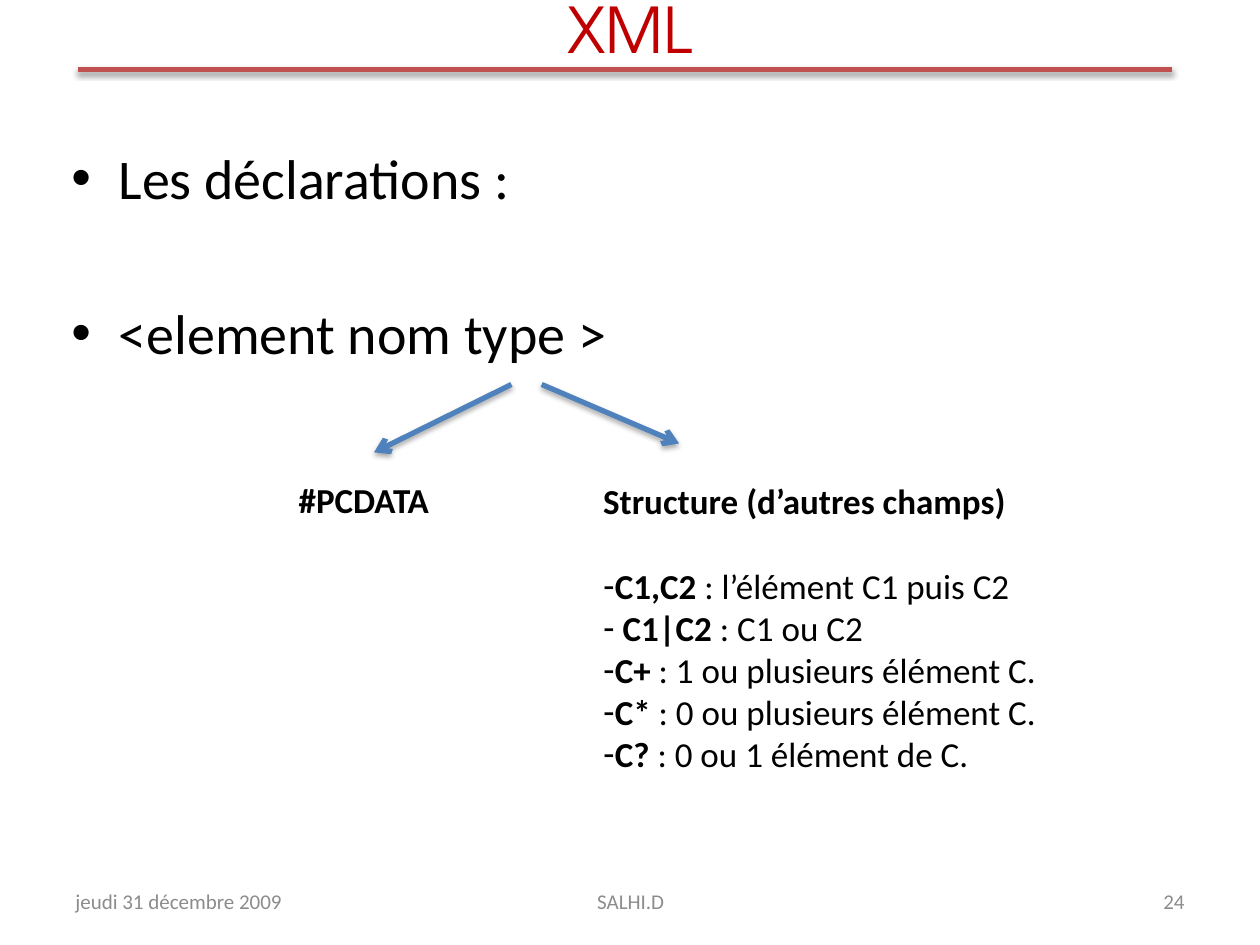
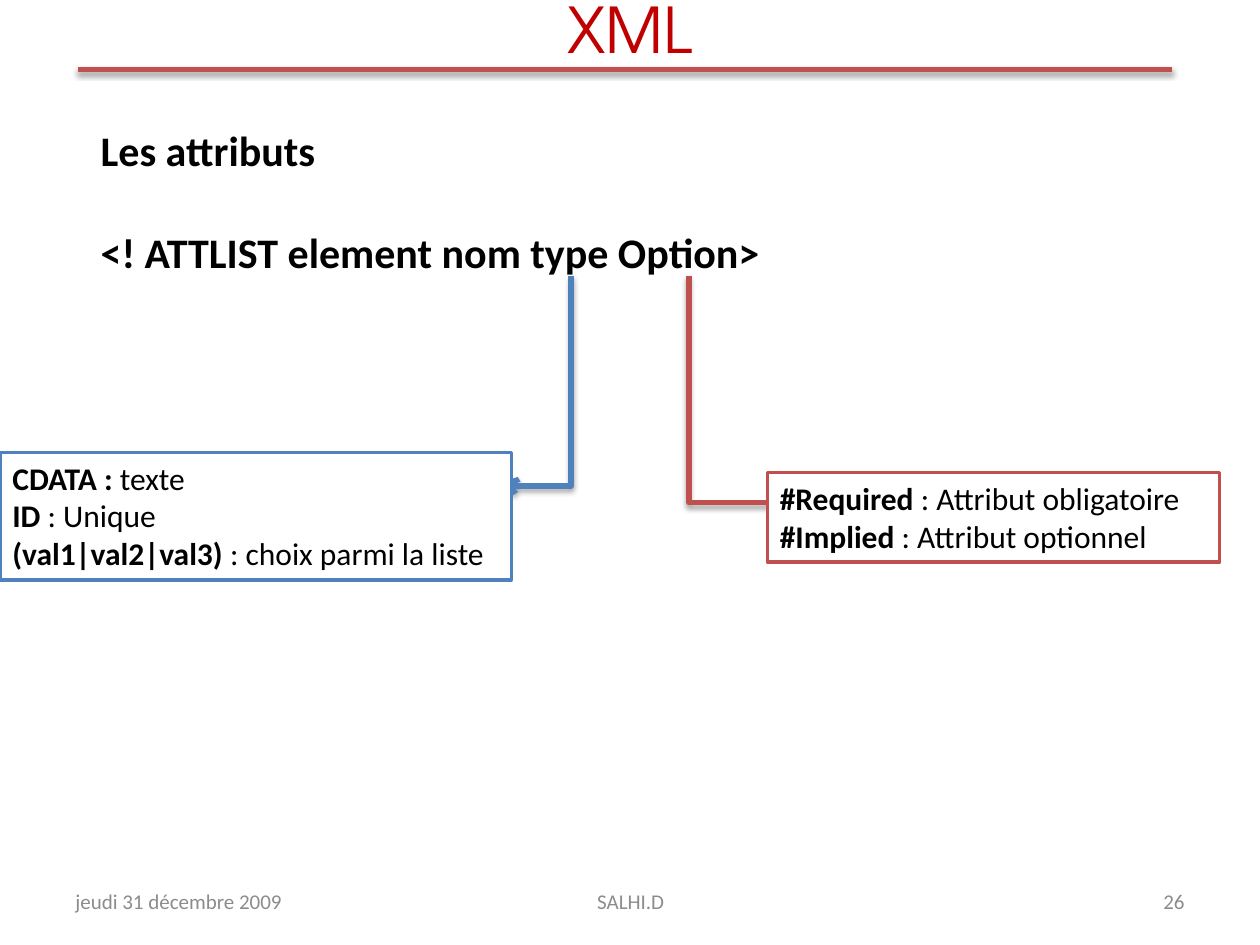
from lxml import etree
from pptx import Presentation, util as u
from pptx.dml.color import RGBColor
from pptx.enum import shapes, text
from pptx.oxml import ns

RED, BLUE, GREY, BLACK, WHITE = "C0504D", "4F81BD", "8C8C8C", "000000", "FFFFFF"
LEFT, MID, RIGHT = text.PP_ALIGN.LEFT, text.PP_ALIGN.CENTER, text.PP_ALIGN.RIGHT
STRAIGHT, ELBOW = shapes.MSO_CONNECTOR.STRAIGHT, shapes.MSO_CONNECTOR.ELBOW


def hue(code):
    return RGBColor.from_string(code)


def put(page, box, lines, size=20, font="Calibri", ink=BLACK, align=LEFT,
        mid=False, edge=None, marks="", hang=0, gaps=None):
    """Write lines of (bold, plain) text; marks holds one bullet per line."""
    area = [u.Cm(n) for n in box]
    if edge:
        shape = page.shapes.add_shape(shapes.MSO_SHAPE.RECTANGLE, *area)
        shape.shadow.inherit = False
        shape.fill.solid()
        shape.fill.fore_color.rgb = hue(WHITE)
        shape.line.color.rgb = hue(edge)
        shape.line.width = u.Pt(2)
    else:
        shape = page.shapes.add_textbox(*area)
    frame = shape.text_frame
    frame.word_wrap = True
    anchor = text.MSO_ANCHOR
    frame.vertical_anchor = anchor.MIDDLE if mid else anchor.TOP
    for i, line in enumerate(lines):
        para = frame.paragraphs[0] if i == 0 else frame.add_paragraph()
        para.alignment = align
        para.space_before = u.Pt((gaps or {}).get(i, 0))
        for words, bold in zip(line, (True, False)):
            if words:
                run = para.add_run()
                run.text = words
                run.font.size, run.font.name = u.Pt(size), font
                run.font.bold = bold
                run.font.color.rgb = hue(ink)
        mark = marks[i:i + 1].strip()
        if mark:
            props = para._p.get_or_add_pPr()
            props.set("marL", str(u.Cm(hang)))
            props.set("indent", str(-u.Cm(hang)))
            etree.SubElement(props, ns.qn("a:buFont")).set("typeface", "Arial")
            etree.SubElement(props, ns.qn("a:buChar")).set("char", mark)


deck = Presentation()
deck.slide_width, deck.slide_height = u.Cm(25.4), u.Cm(19.05)
decl, attr = [deck.slides.add_slide(deck.slide_layouts[6]) for _ in range(2)]

# Shared title and footers
for page, num in ((decl, "24"), (attr, "26")):
    put(page, (1.27, -0.64, 22.86, 2.41), [("", "XML")], size=36,
        font="TeX Gyre Adventor", ink="C00000", align=MID, mid=True)
    for left, wide, note, align in ((1.27, 5.92, "jeudi 31 décembre 2009", LEFT),
                                    (8.69, 8.05, "SALHI.D", MID),
                                    (18.21, 5.92, num, RIGHT)):
        put(page, (left, 17.65, wide, 1.02), [("", note)], size=12,
            ink=GREY, align=align, mid=True)

# Title rules, arrows and bent links: page, start, end, colour, arrow, bend
rule = ((1.57, 1.4), (23.62, 1.4), RED, False, None)
links = [
    (decl, *rule),
    (attr, *rule),
    (decl, (10.31, 7.75), (7.54, 9.12), BLUE, True, None),
    (decl, (10.92, 7.75), (13.69, 8.94), BLUE, True, None),
    (attr, (11.51, 5.56), (10.11, 9.73), BLUE, True, 101700),
    (attr, (13.89, 5.56), (15.47, 10.11), RED, False, 100600),
]
for page, (x1, y1), (x2, y2), ink, arrow, bend in links:
    turn = None
    if bend:
        # A link that leaves downwards is a sideways one turned a quarter
        half, rise = (y2 - y1) / 2, abs(x2 - x1) / 2
        cx, cy = (x1 + x2) / 2, (y1 + y2) / 2
        turn = 270 if x2 > x1 else 90
        side = half if x2 > x1 else -half
        x1, y1, x2, y2 = cx + side, cy - rise, cx - side, cy + rise
    link = page.shapes.add_connector(ELBOW if bend else STRAIGHT,
                                     *[u.Cm(n) for n in (x1, y1, x2, y2)])
    link.line.color.rgb = hue(ink)
    link.line.width = u.Pt(3)
    props = link._element.spPr
    if bend:
        props.find(ns.qn("a:xfrm")).set("rot", str(turn * 60000))
        geom = props.find(ns.qn("a:prstGeom"))
        guides = geom.find(ns.qn("a:avLst"))
        if guides is None:
            guides = etree.SubElement(geom, ns.qn("a:avLst"))
        etree.SubElement(guides, ns.qn("a:gd"), name="adj1", fmla=f"val {bend}")
    if arrow:
        etree.SubElement(props.find(ns.qn("a:ln")), ns.qn("a:tailEnd"), type="arrow")
    fx = etree.SubElement(props, ns.qn("a:effectLst"))
    shade = etree.SubElement(fx, ns.qn("a:outerShdw"), blurRad="40000",
                             dist="23000", dir="5400000", rotWithShape="0")
    tone = etree.SubElement(shade, ns.qn("a:srgbClr"), val=BLACK)
    etree.SubElement(tone, ns.qn("a:alpha"), val="35000")

# Declarations
put(decl, (1.19, 2.77, 22.86, 12.57),
    [("", "Les déclarations :"), ("", "<element nom type >")],
    size=32, marks="••", hang=0.95, gaps={0: 2, 1: 50})
put(decl, (5.77, 9.53, 3.38, 1.96), [("#PCDATA", "")])
put(decl, (11.91, 9.55, 11.3, 7.09), [
    ("Structure (d’autres champs)", ""),
    ("C1,C2 ", ": l’élément C1 puis C2"),
    (" C1|C2 ", ": C1 ou C2"),
    ("C+ ", ": 1 ou plusieurs élément C."),
    ("C* ", ": 0 ou plusieurs élément C."),
    ("C? ", ": 0 ou 1 élément de C."),
], marks=" -----", gaps={1: 24.4})

# Attributes
put(attr, (1.78, 2.39, 21.64, 3.33),
    [("Les attributs", ""), ("<! ATTLIST element nom type Option>", "")],
    size=24, gaps={1: 29.3})
put(attr, (0, 9.12, 10.31, 2.57), [
    ("CDATA : ", "texte"),
    ("ID ", ": Unique"),
    ("(val1|val2|val3)", " : choix parmi la liste"),
], size=18, edge=BLUE)
put(attr, (15.47, 9.53, 9.12, 1.8), [
    ("#Required ", ": Attribut obligatoire"),
    ("#Implied ", ": Attribut optionnel"),
], size=18, edge=RED)

deck.save("out.pptx")
